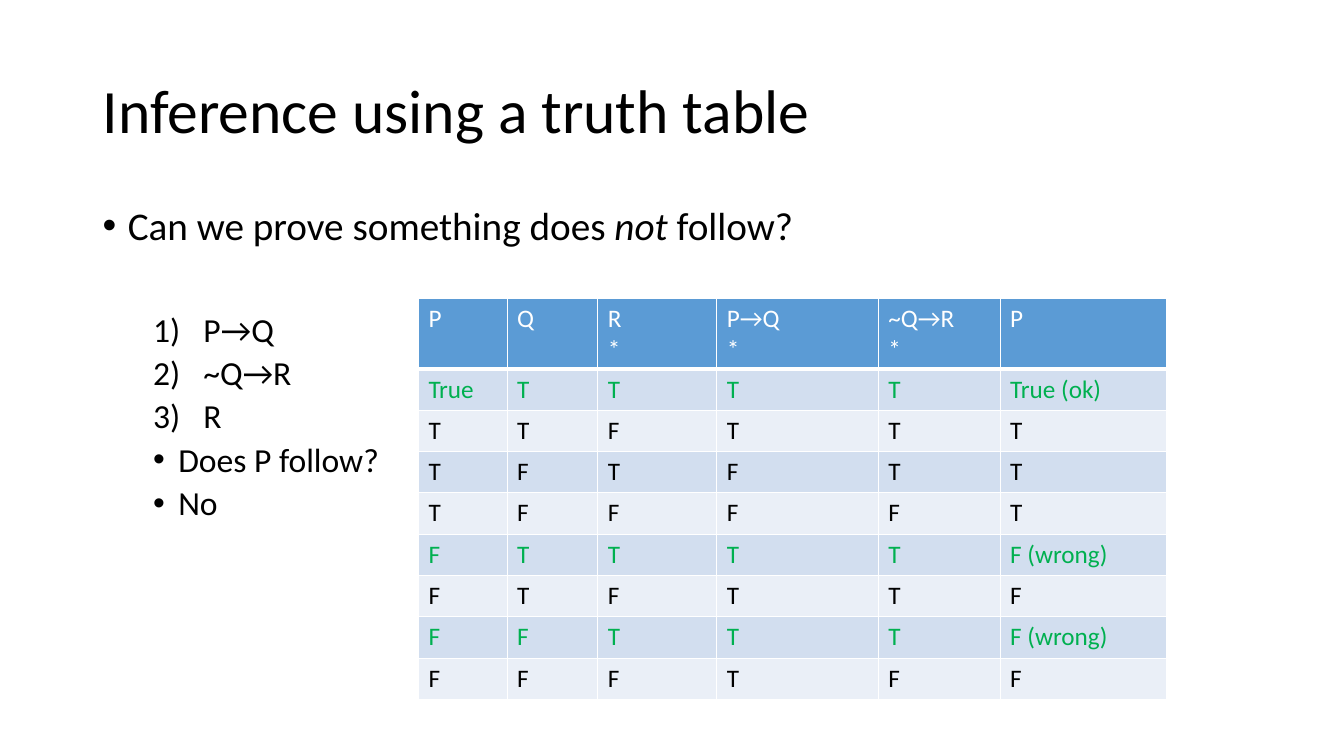
from lxml import etree
from pptx import Presentation
from pptx.dml.color import RGBColor
from pptx.enum.text import MSO_ANCHOR
from pptx.oxml.ns import qn
from pptx.util import Inches, Pt

MIDDLE = MSO_ANCHOR.MIDDLE
TOP = MSO_ANCHOR.TOP
BLACK = RGBColor(0x00, 0x00, 0x00)
WHITE = RGBColor(0xFF, 0xFF, 0xFF)
GREEN = RGBColor(0x00, 0xB0, 0x50)
HEADER_BLUE = RGBColor(0x5B, 0x9B, 0xD5)
BAND_DARK = RGBColor(0xD2, 0xDE, 0xEF)
BAND_LIGHT = RGBColor(0xEA, 0xEF, 0xF7)
FONT = "Calibri"

COLUMN_WIDTHS = [0.88, 0.9, 1.18, 1.6, 1.21, 1.65]
HEADER_HEIGHT = 0.7
ROW_HEIGHT = 0.41
TRUTH_TABLE = [
    ["P", "Q", "R\n*", "P→Q\n*", "~Q→R\n*", "P"],
    ["True", "T", "T", "T", "T", "True (ok)"],
    ["T", "T", "F", "T", "T", "T"],
    ["T", "F", "T", "F", "T", "T"],
    ["T", "F", "F", "F", "F", "T"],
    ["F", "T", "T", "T", "T", "F (wrong)"],
    ["F", "T", "F", "T", "T", "F"],
    ["F", "F", "T", "T", "T", "F (wrong)"],
    ["F", "F", "F", "T", "F", "F"],
]
MODEL_ROWS = {1, 5, 7}


def add_run(p, text, size, color=BLACK, italic=False):
    r = p.add_run()
    r.text = text
    r.font.name = FONT
    r.font.size = Pt(size)
    r.font.color.rgb = color
    r.font.bold = False
    r.font.italic = italic


def add_text_box(s, left, top, width, height, anchor):
    tf = s.shapes.add_textbox(
        Inches(left), Inches(top), Inches(width), Inches(height)).text_frame
    tf.word_wrap = True
    tf.vertical_anchor = anchor
    return tf


def set_list_style(p, indent, hanging, before, numbered=False):
    p.line_spacing = 0.9
    p.space_before = Pt(before)
    pPr = p._p.get_or_add_pPr()
    pPr.set("marL", str(Inches(indent)))
    pPr.set("indent", str(-Inches(hanging)))
    if numbered:
        etree.SubElement(pPr, qn("a:buAutoNum"), type="arabicParenR")
    else:
        etree.SubElement(pPr, qn("a:buFont"), typeface="Arial")
        etree.SubElement(pPr, qn("a:buChar"), char="•")


def add_title(s):
    p = add_text_box(s, 0.92, 0.4, 11.5, 1.45, MIDDLE).paragraphs[0]
    p.line_spacing = 0.9
    add_run(p, "Inference using a truth table", 44)


def add_argument(s):
    tf = add_text_box(s, 0.92, 2, 11.5, 4.76, TOP)
    p = tf.paragraphs[0]
    set_list_style(p, 0.25, 0.25, 10)
    add_run(p, "Can we prove something does ", 28)
    add_run(p, "not", 28, italic=True)
    add_run(p, " follow?", 28)
    for i, premise in enumerate(["P→Q", "~Q→R", "R"]):
        p = tf.add_paragraph()
        p.level = 1
        set_list_style(p, 1, 0.5, 5 if i else 46, numbered=True)
        add_run(p, premise, 24)
    for line in ["Does P follow?", "No"]:
        p = tf.add_paragraph()
        p.level = 1
        set_list_style(p, 0.75, 0.25, 5)
        add_run(p, line, 24)


def add_border(cell, edge, width):
    ln = etree.SubElement(
        cell._tc.get_or_add_tcPr(), qn(f"a:ln{edge}"), w=str(Pt(width)))
    fill = etree.SubElement(ln, qn("a:solidFill"))
    etree.SubElement(fill, qn("a:srgbClr"), val=str(WHITE))


def fill_cell(cell, text, color, background, top, bottom):
    for edge, width in (("L", 1), ("R", 1), ("T", top), ("B", bottom)):
        add_border(cell, edge, width)
    cell.fill.solid()
    cell.fill.fore_color.rgb = background
    tf = cell.text_frame
    for i, line in enumerate(text.split("\n")):
        p = tf.add_paragraph() if i else tf.paragraphs[0]
        add_run(p, line, 18, color)


def row_style(row):
    if row == 0:
        return WHITE, HEADER_BLUE, 1, 3
    color = GREEN if row in MODEL_ROWS else BLACK
    background = BAND_DARK if row % 2 else BAND_LIGHT
    return color, background, 3 if row == 1 else 1, 1


def add_truth_table(s):
    rows, cols = len(TRUTH_TABLE), len(COLUMN_WIDTHS)
    height = HEADER_HEIGHT + (rows - 1) * ROW_HEIGHT
    table = s.shapes.add_table(
        rows, cols, Inches(4.15), Inches(2.96),
        Inches(sum(COLUMN_WIDTHS)), Inches(height)).table
    for column, width in zip(table.columns, COLUMN_WIDTHS):
        column.width = Inches(width)
    for i, values in enumerate(TRUTH_TABLE):
        table.rows[i].height = Inches(ROW_HEIGHT if i else HEADER_HEIGHT)
        for j, text in enumerate(values):
            fill_cell(table.cell(i, j), text, *row_style(i))


def main():
    prs = Presentation()
    prs.slide_width = Inches(13.33)
    prs.slide_height = Inches(7.5)
    s = prs.slides.add_slide(prs.slide_layouts[6])
    add_title(s)
    add_argument(s)
    add_truth_table(s)
    prs.save("out.pptx")


if __name__ == "__main__":
    main()
